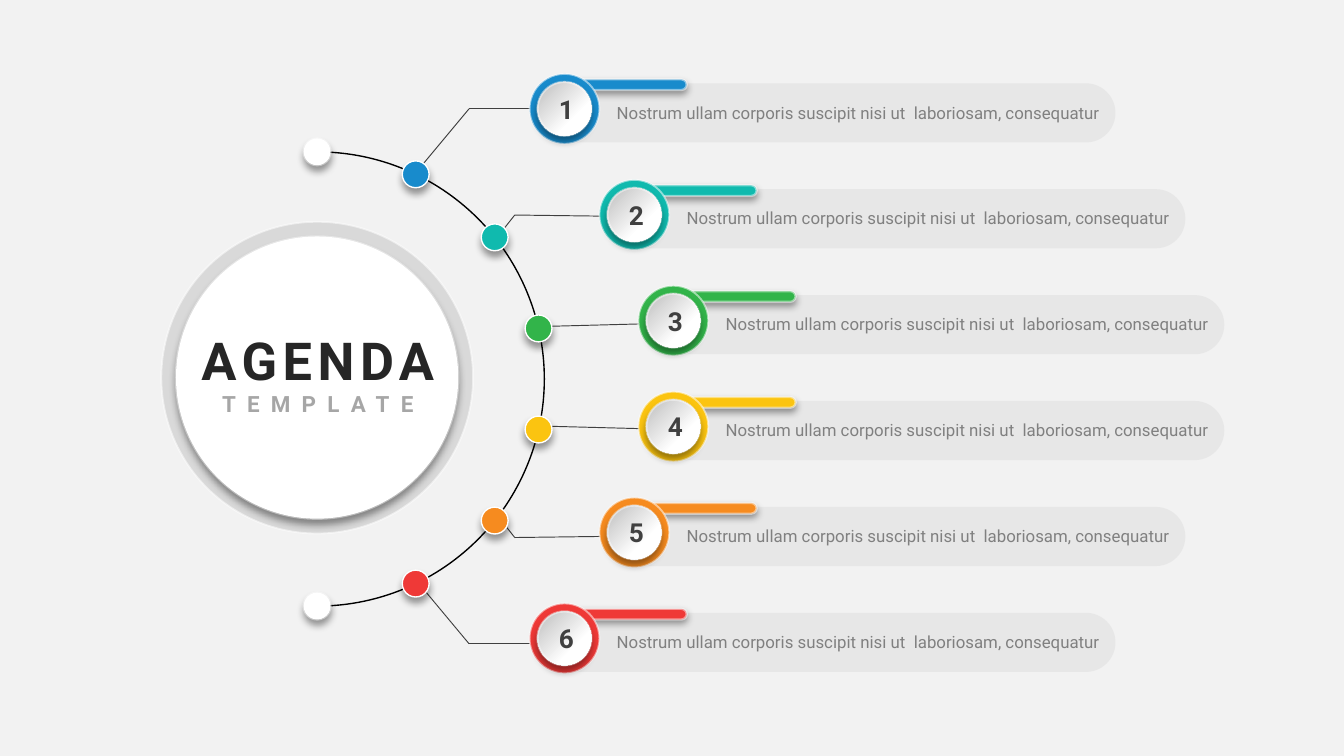
import math

from lxml import etree
from pptx import Presentation
from pptx.dml.color import RGBColor
from pptx.enum.shapes import MSO_CONNECTOR, MSO_SHAPE
from pptx.enum.text import MSO_ANCHOR, MSO_AUTO_SIZE, PP_ALIGN
from pptx.oxml.ns import qn
from pptx.util import Inches, Pt

STRAIGHT = MSO_CONNECTOR.STRAIGHT
OVAL, PILL, ARC = MSO_SHAPE.OVAL, MSO_SHAPE.ROUNDED_RECTANGLE, MSO_SHAPE.ARC
CENTER, MIDDLE = PP_ALIGN.CENTER, MSO_ANCHOR.MIDDLE
FIT_SHAPE = MSO_AUTO_SIZE.SHAPE_TO_FIT_TEXT

PAGE_WIDTH = 10
PAGE_HEIGHT = PAGE_WIDTH * 9 / 16
FONT = "Roboto"
WHITE = "FFFFFF"
ITEM_TEXT = "Nostrum ullam corporis suscipit nisi ut  laboriosam, consequatur"
ITEM_COLORS = ["188BCC", "10BAAE", "32B44A", "FBC410", "F68B1F", "EF3937"]
ITEM_LEFTS = [3.94, 4.46, 4.75, 4.75, 4.46, 3.94]
FIRST_TOP, LAST_TOP = 0.55, 4.49
UPPER_LEADERS = [
    [(3.09, 1.29), (3.49, 0.81), (4.05, 0.81)],
    [(3.68, 1.79), (3.83, 1.6), (4.61, 1.61)],
    [(4.01, 2.43), (4.78, 2.41)],
]
MIRROR_HEIGHT = 5.6


def rgb(value):
    return RGBColor.from_string(value)


def set_alpha(properties, percent):
    """Make the solid fill directly under the given XML element translucent."""
    color = properties.find(qn("a:solidFill")).find(qn("a:srgbClr"))
    etree.SubElement(color, qn("a:alpha"), val=str(percent * 1000))


def add_shadow(shape, distance):
    effects = shape._element.spPr.find(qn("a:effectLst"))
    shadow = etree.SubElement(
        effects, qn("a:outerShdw"), blurRad=str(Pt(4)), dist=str(Pt(distance)),
        dir=str(90 * 60000), algn="t", rotWithShape="0")
    color = etree.SubElement(shadow, qn("a:srgbClr"), val="000000")
    etree.SubElement(color, qn("a:alpha"), val="40000")


def add_figure(page, kind, box, fill=None, line=None, line_alpha=None, shadow=None):
    """line is (colour, points); shadow is its distance in points."""
    shape = page.shapes.add_shape(kind, *map(Inches, box))
    shape.shadow.inherit = False
    if kind == PILL:
        shape.adjustments[0] = 0.5
    if fill:
        shape.fill.solid()
        shape.fill.fore_color.rgb = rgb(fill)
    else:
        shape.fill.background()
    if line:
        shape.line.color.rgb = rgb(line[0])
        shape.line.width = Pt(line[1])
        if line_alpha:
            set_alpha(shape._element.spPr.find(qn("a:ln")), line_alpha)
    else:
        shape.line.fill.background()
    if shadow:
        add_shadow(shape, shadow)
    return shape


def circle_box(center_x, center_y, radius):
    return center_x - radius, center_y - radius, 2 * radius, 2 * radius


def write(para, text, size, color, bold=False, align=None, spacing=None):
    para.text = text
    para.alignment = align
    font = para.font
    font.name, font.size, font.bold = FONT, Pt(size), bold
    font.color.rgb = rgb(color)
    if spacing:
        para._p.pPr.find(qn("a:defRPr")).set("spc", str(spacing * 100))


def add_leader(page, points):
    for start, end in zip(points, points[1:]):
        line = page.shapes.add_connector(STRAIGHT, *map(Inches, start + end))
        line.line.color.rgb = rgb("404040")
        line.line.width = Pt(0.5)
        etree.SubElement(line._element.spPr, qn("a:effectLst"))


def add_leaders(page):
    for points in UPPER_LEADERS:
        add_leader(page, points)
        add_leader(page, [(x, MIRROR_HEIGHT - y) for x, y in points])


def add_dotted_arc(page, center_x, center_y, radius):
    """Half circle with dots at equal angles, white at both ends."""
    arc = add_figure(page, ARC, circle_box(center_x, center_y, radius),
                     line=("000000", 0.75))
    arc.adjustments[0], arc.adjustments[1] = 162, 54  # 270 to 90 degrees
    colors = [WHITE] + ITEM_COLORS + [WHITE]
    for index, color in enumerate(colors):
        angle = math.pi * (index / (len(colors) - 1) - 0.5)
        box = circle_box(center_x + radius * math.cos(angle),
                         center_y + radius * math.sin(angle), 0.1)
        is_end = color == WHITE
        add_figure(page, OVAL, box, color, (WHITE, 1.25 if is_end else 0.75),
                   line_alpha=42 if is_end else None, shadow=3)


def add_title(page, center_x, center_y):
    add_figure(page, OVAL, circle_box(center_x, center_y, 1.16), "D9D9D9",
               (WHITE, 1), line_alpha=52)
    add_figure(page, OVAL, circle_box(center_x, center_y, 1.05), WHITE,
               (WHITE, 1.25), line_alpha=42, shadow=3)
    box = page.shapes.add_textbox(
        *map(Inches, (center_x - 1.19, center_y - 0.42, 2.39, 0.77)))
    frame = box.text_frame
    frame.word_wrap = True
    frame.auto_size = FIT_SHAPE
    write(frame.paragraphs[0], "AGENDA", 28, "262626", True, CENTER, 3)
    write(frame.add_paragraph(), "TEMPLATE", 12, "A6A6A6", True, CENTER, 6)


def add_item(page, left, top, number, color):
    band = add_figure(page, PILL, (left + 0.06, top + 0.07, 4.3, 0.44), "D9D9D9")
    set_alpha(band._element.spPr, 42)
    add_figure(page, PILL, (left + 0.22, top + 0.04, 0.95, 0.08), color,
               (WHITE, 1.25), line_alpha=48, shadow=2)
    add_figure(page, OVAL, (left, top, 0.52, 0.52), color, (WHITE, 1), line_alpha=52)

    badge = add_figure(page, OVAL, (left + 0.06, top + 0.06, 0.4, 0.4), WHITE,
                       (WHITE, 1.25), line_alpha=42, shadow=3)
    badge.fill.gradient()
    badge.fill.gradient_angle = 315
    stops = [(0.09, "C7C7C7"), (0.68, WHITE)]
    for stop, (position, shade) in zip(badge.fill.gradient_stops, stops):
        stop.position = position
        stop.color.rgb = rgb(shade)
    frame = badge.text_frame
    frame.word_wrap = False
    frame.vertical_anchor = MIDDLE
    frame.margin_left = Inches(0.13)
    write(frame.paragraphs[0], str(number), 14, "404040", True, CENTER)

    box = page.shapes.add_textbox(
        *map(Inches, (left + 0.55, top + 0.12, 3.81, 0.42)))
    frame = box.text_frame
    frame.word_wrap = True
    frame.margin_left = frame.margin_right = frame.margin_bottom = Inches(0.1)
    frame.margin_top = Inches(0.13)
    write(frame.paragraphs[0], ITEM_TEXT, 9, "808080")


def main():
    deck = Presentation()
    deck.slide_width, deck.slide_height = Inches(PAGE_WIDTH), Inches(PAGE_HEIGHT)
    page = deck.slides.add_slide(deck.slide_layouts[6])
    page.background.fill.solid()
    page.background.fill.fore_color.rgb = rgb("F2F2F2")

    add_leaders(page)
    add_dotted_arc(page, 2.36, 2.82, 1.69)
    add_title(page, 2.36, 2.81)
    pitch = (LAST_TOP - FIRST_TOP) / (len(ITEM_COLORS) - 1)
    for index, (left, color) in enumerate(zip(ITEM_LEFTS, ITEM_COLORS)):
        add_item(page, left, FIRST_TOP + index * pitch, index + 1, color)
    deck.save("out.pptx")


if __name__ == "__main__":
    main()
